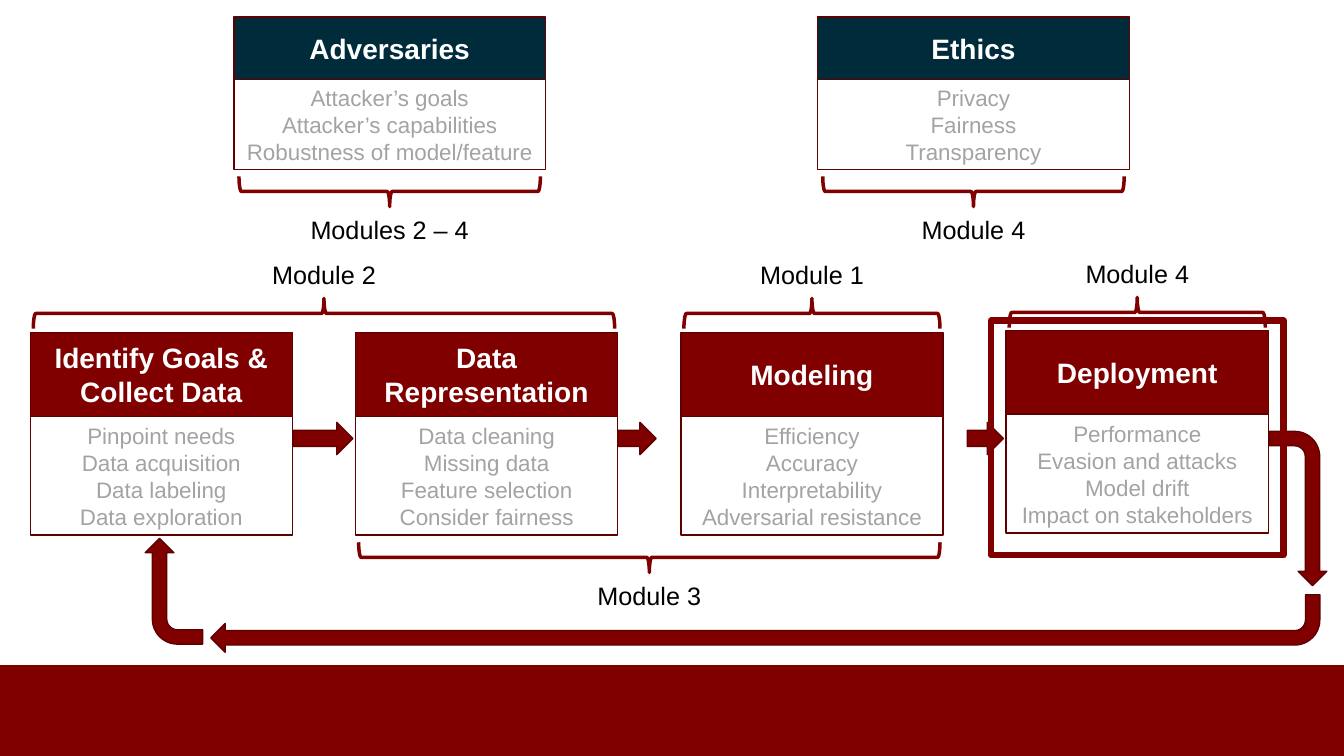
from pptx import Presentation
from pptx.dml.color import RGBColor
from pptx.enum.shapes import MSO_SHAPE
from pptx.enum.text import MSO_ANCHOR, PP_ALIGN
from pptx.util import Inches, Pt

RECTANGLE = MSO_SHAPE.RECTANGLE
RIGHT_ARROW = MSO_SHAPE.RIGHT_ARROW
BENT_ARROW = MSO_SHAPE.BENT_ARROW
RIGHT_BRACE = MSO_SHAPE.RIGHT_BRACE
MIDDLE = MSO_ANCHOR.MIDDLE
CENTER = PP_ALIGN.CENTER

MAROON, DARK_MAROON, NAVY = "800000", "5F0000", "002B3B"
WHITE, GRAY, BLACK = "FFFFFF", "A1A4A1", "000000"

STAGE_LEFT, STAGE_TOP, STAGE_WIDTH = 0.3, 3.3, 2.6
STAGE_HEADER, STAGE_BODY = 0.83, 1.18
STAGE_PITCH = (9.98 - STAGE_LEFT) / 3
STAGE_BOTTOM = STAGE_TOP + STAGE_HEADER + STAGE_BODY
# Title, topics, top offset
STAGES = [
    ("Identify Goals & Collect Data",
     ["Pinpoint needs", "Data acquisition", "Data labeling", "Data exploration"], 0),
    ("Data Representation",
     ["Data cleaning", "Missing data", "Feature selection", "Consider fairness"], 0),
    ("Modeling",
     ["Efficiency", "Accuracy", "Interpretability", "Adversarial resistance"], 0),
    ("Deployment",
     ["Performance", "Evasion and attacks", "Model drift", "Impact on stakeholders"], -0.02),
]
# Gap after the stage and width of the arrow to the next one
STAGE_ARROWS = [(0.01, 0.59), (0, 0.38), (0.24, 0.36)]

CONCERN_TOP, CONCERN_WIDTH = 0.17, 3.09
CONCERN_HEADER, CONCERN_BODY = 0.62, 0.89
CONCERNS = [
    (2.32, "Adversaries",
     ["Attacker’s goals", "Attacker’s capabilities", "Robustness of model/feature"],
     "Modules 2 – 4"),
    (8.11, "Ethics", ["Privacy", "Fairness", "Transparency"], "Module 4"),
]


def color(value):
    return RGBColor.from_string(value)


def add_shape(slide, kind, box, fill=None, line=None, line_width=1, rotation=0):
    shape = slide.shapes.add_shape(kind, *[Inches(length) for length in box])
    shape.shadow.inherit = False
    shape.rotation = rotation
    if fill:
        shape.fill.solid()
        shape.fill.fore_color.rgb = color(fill)
    else:
        shape.fill.background()
    if line:
        shape.line.color.rgb = color(line)
        shape.line.width = Pt(line_width)
    else:
        shape.line.fill.background()
    return shape


def write(shape, lines, size, font_color, bold=False):
    text_frame = shape.text_frame
    text_frame.text = "\n".join(lines)
    for paragraph in text_frame.paragraphs:
        paragraph.alignment = CENTER
        for run in paragraph.runs:
            run.font.name = "Arial"
            run.font.size = Pt(size)
            run.font.bold = bold
            run.font.color.rgb = color(font_color)


def add_card(slide, left, top, width, header, body, title, topics, header_fill):
    """A coloured title above a white list of topics."""
    title_box = add_shape(slide, RECTANGLE, (left, top, width, header), header_fill, DARK_MAROON)
    topic_box = add_shape(slide, RECTANGLE, (left, top + header, width, body), WHITE, DARK_MAROON)
    write(title_box, [title], 20, WHITE, bold=True)
    write(topic_box, topics, 16, GRAY)
    for shape in (title_box, topic_box):
        shape.text_frame.word_wrap = True
        shape.text_frame.vertical_anchor = MIDDLE


def add_brace(slide, left, top, width, label, points_down):
    """A horizontal brace with its module label at the tip."""
    depth = 0.3
    center = left + width / 2
    # The brace is upright before it is turned around its centre
    box = (center - depth / 2, top + depth / 2 - width / 2, depth, width)
    add_shape(slide, RIGHT_BRACE, box, line=MAROON, line_width=2.5,
              rotation=90 if points_down else 270)
    label_width = 1.79
    label_top = top + 0.33 if points_down else top - 0.44
    text_box = slide.shapes.add_textbox(Inches(center - label_width / 2), Inches(label_top),
                                        Inches(label_width), Inches(0.4))
    text_box.text_frame.word_wrap = False
    write(text_box, [label], 18, BLACK)


def add_concerns(slide):
    for left, title, topics, module in CONCERNS:
        add_card(slide, left, CONCERN_TOP, CONCERN_WIDTH, CONCERN_HEADER, CONCERN_BODY,
                 title, topics, NAVY)
        add_brace(slide, left + 0.05, CONCERN_TOP + CONCERN_HEADER + CONCERN_BODY + 0.07,
                  CONCERN_WIDTH - 0.1, module, True)


def add_pipeline(slide):
    lefts = [STAGE_LEFT + index * STAGE_PITCH for index in range(len(STAGES))]
    for left, (title, topics, offset) in zip(lefts, STAGES):
        add_card(slide, left, STAGE_TOP + offset, STAGE_WIDTH, STAGE_HEADER, STAGE_BODY,
                 title, topics, MAROON)
    for left, (gap, width) in zip(lefts, STAGE_ARROWS):
        add_shape(slide, RIGHT_ARROW, (left + STAGE_WIDTH + gap, STAGE_TOP + 0.89, width, 0.32),
                  MAROON, DARK_MAROON)

    # Feedback loop from the last stage to the first
    for box, rotation in [((12.11, 4.76, 1.53, 0.57), 90),
                          ((2.09, 5.9, 11, 0.57), 180),
                          ((1.2, 5.58, 1.05, 0.57), 270)]:
        add_shape(slide, BENT_ARROW, box, MAROON, DARK_MAROON, rotation=rotation)

    # Frame around the current stage
    add_shape(slide, RECTANGLE, (lefts[3] - 0.15, STAGE_TOP - 0.12, STAGE_WIDTH + 0.3, 2.33),
              line=MAROON, line_width=4.5)

    # Modules: first stage, last stage, top, label, direction
    above, below = STAGE_TOP - 0.34, STAGE_BOTTOM + 0.07
    for first, last, top, module, points_down in [
            (0, 1, above, "Module 2", False),
            (2, 2, above, "Module 1", False),
            (3, 3, above - 0.01, "Module 4", False),
            (1, 2, below, "Module 3", True)]:
        span = lefts[last] + STAGE_WIDTH - lefts[first]
        add_brace(slide, lefts[first] + 0.03, top, span - 0.06, module, points_down)


def main():
    presentation = Presentation()
    presentation.slide_width = Inches(13.33)
    presentation.slide_height = Inches(7.5)
    slide = presentation.slides.add_slide(presentation.slide_layouts[6])
    # Footer band
    add_shape(slide, RECTANGLE, (0, 6.6, 13.33, 0.9), MAROON)
    add_concerns(slide)
    add_pipeline(slide)
    presentation.save("out.pptx")


if __name__ == "__main__":
    main()
